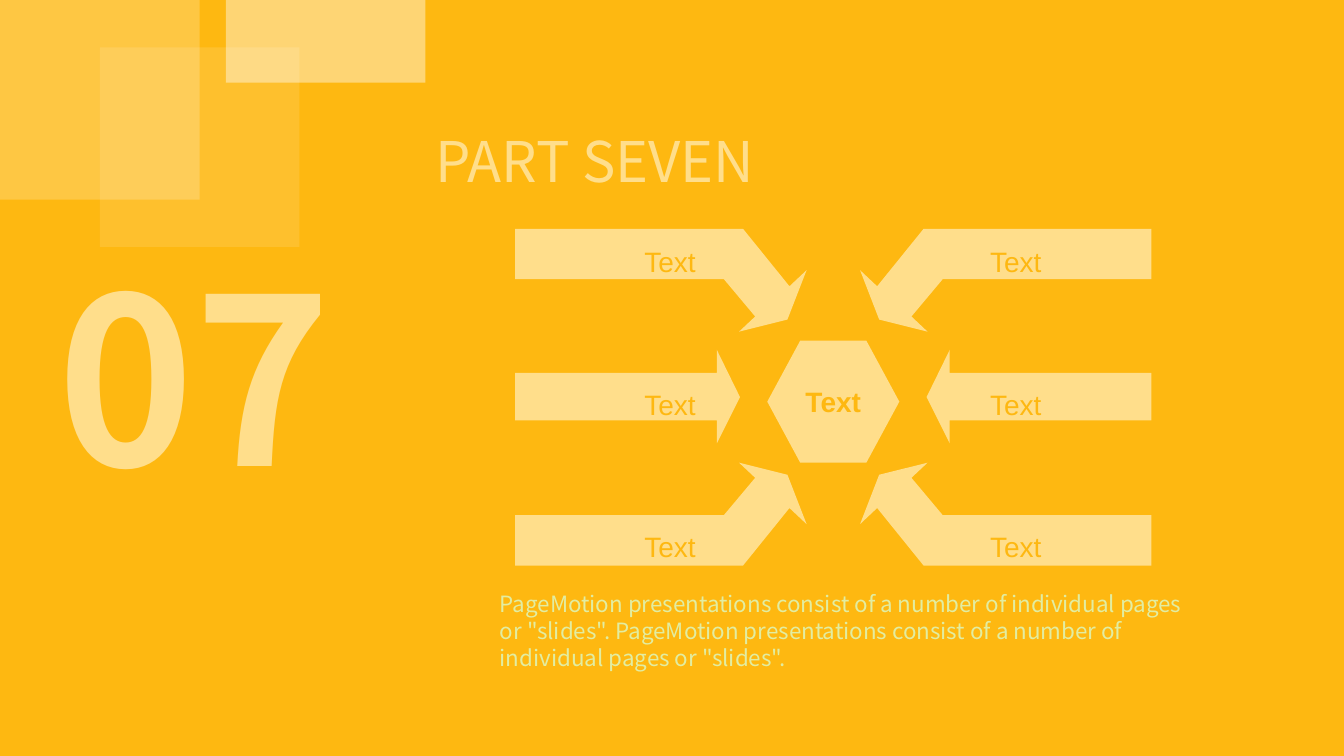
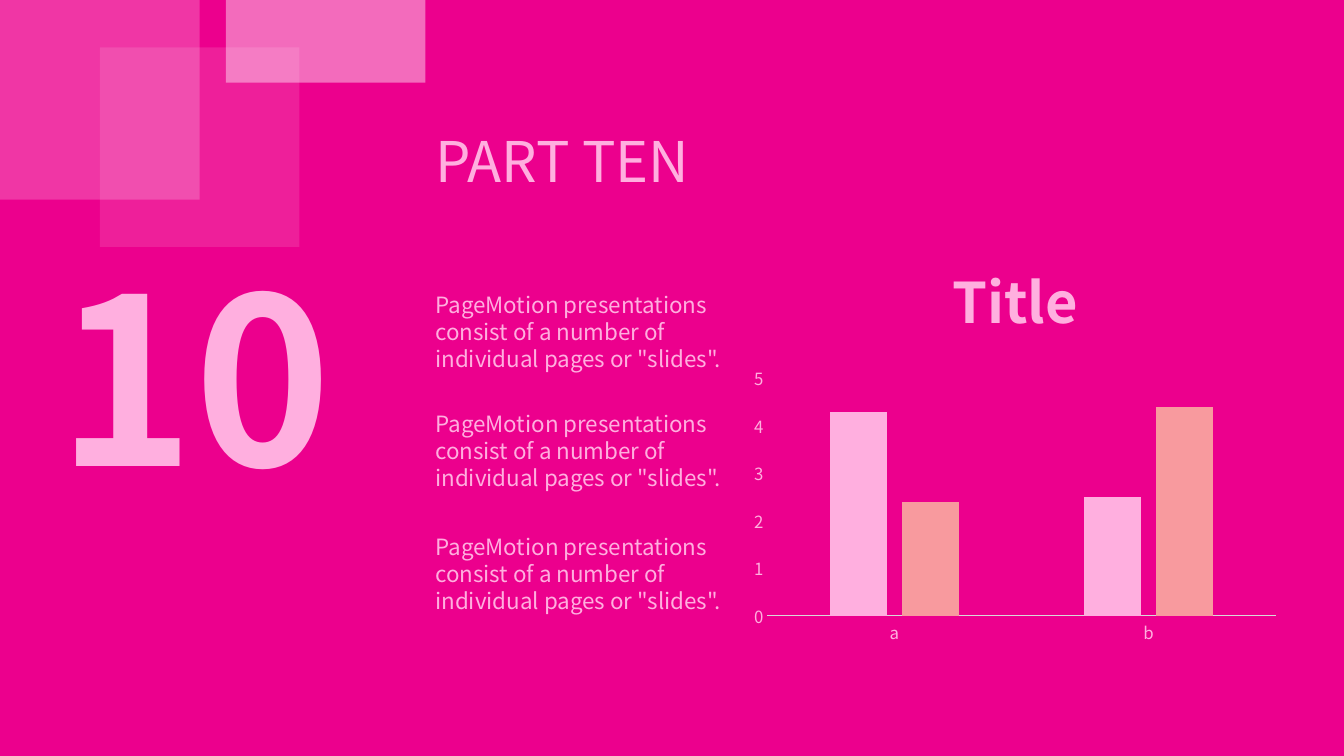
from dataclasses import dataclass
from typing import NamedTuple

from lxml.etree import SubElement
from pptx import Presentation
from pptx.chart.data import CategoryChartData
from pptx.dml.color import RGBColor
from pptx.enum.chart import XL_CHART_TYPE as ChartType, XL_TICK_MARK as Tick
from pptx.enum.shapes import MSO_SHAPE as Shape
from pptx.enum.text import MSO_ANCHOR as Anchor, MSO_AUTO_SIZE as AutoSize, PP_ALIGN as Align
from pptx.oxml import parse_xml
from pptx.oxml.ns import nsdecls, qn
from pptx.slide import Slide
from pptx.util import Inches, Pt


class Palette(NamedTuple):
    bg: str
    ink: str
    body: str


@dataclass(frozen=True)
class Theme:
    yellow: Palette = Palette("FEB811", "FFDE8B", "E2EDA1")
    pink: Palette = Palette("EC008D", "FFAFDF", "FFAFDF")
    veil: str = "FFFFFF"
    second_series: str = "F89A9E"
    axis_line: str = "D9D9D9"
    font: str = "Noto Sans CJK SC"
    label_font: str = "Arial"
    number: int = 166
    title: int = 40
    label: int = 20
    body: int = 16
    axis: int = 12


class Box(NamedTuple):
    x: float
    y: float
    w: float
    h: float


class Veil(NamedTuple):
    box: Box
    opacity: int


class Label(NamedTuple):
    box: Box
    text: str
    shape: Shape = Shape.RECTANGLE
    bold: bool = False
    align: Align = Align.LEFT
    anchor: Anchor = Anchor.TOP


THEME = Theme()
VEILS = (
    Veil(Box(0.99, 0.47, 1.98, 1.98), 12),
    Veil(Box(0, 0, 1.98, 1.98), 21),
    Veil(Box(2.24, 0, 1.98, 0.82), 42),
)
SENTENCE = 'PageMotion presentations consist of a number of individual pages or "slides".'
MIRROR_X = 16.53
MIRROR_Y = 7.88
STRAIGHT_ARROW = ((5.11, 4.17), (5.11, 3.7), (7.11, 3.7), (7.11, 3.47),
                  (7.34, 3.94), (7.11, 4.4), (7.11, 4.17))
BENT_ARROW = ((5.11, 2.27), (7.37, 2.27), (7.83, 2.84), (8, 2.68), (7.81, 3.17),
              (7.33, 3.29), (7.49, 3.14), (7.18, 2.77), (5.11, 2.77))


def rgb(color: str) -> RGBColor:
    return RGBColor.from_string(color)


def inches(box: Box) -> list:
    return [Inches(v) for v in box]


def style_font(font, size: int, color: str, name: str = THEME.font, bold: bool = False) -> None:
    font.size = Pt(size)
    font.name = name
    font.bold = bold
    font.color.rgb = rgb(color)


def paint(sp, color: str) -> None:
    sp.shadow.inherit = False
    sp.fill.solid()
    sp.fill.fore_color.rgb = rgb(color)
    sp.line.fill.background()


def add_veil(s: Slide, veil: Veil) -> None:
    sp = s.shapes.add_shape(Shape.RECTANGLE, *inches(veil.box))
    paint(sp, THEME.veil)
    clr = sp.fill._xPr.find(qn("a:solidFill")).find(qn("a:srgbClr"))
    SubElement(clr, qn("a:alpha")).set("val", str(veil.opacity * 1000))


def add_text(s: Slide, box: Box, text: str, size: int, color: str,
             bold: bool = False, wrap: bool = False) -> None:
    tf = s.shapes.add_textbox(*inches(box)).text_frame
    tf.word_wrap = wrap
    tf.auto_size = AutoSize.SHAPE_TO_FIT_TEXT
    tf.text = text
    style_font(tf.paragraphs[0].runs[0].font, size, color, bold=bold)


def add_label(s: Slide, label: Label, palette: Palette) -> None:
    sp = s.shapes.add_shape(label.shape, *inches(label.box))
    if label.shape == Shape.HEXAGON:
        sp.adjustments[0] = 0.27
    paint(sp, palette.ink)
    tf = sp.text_frame
    tf.margin_left = tf.margin_right = tf.margin_top = tf.margin_bottom = Inches(0.05)
    tf.word_wrap = False
    tf.vertical_anchor = label.anchor
    tf.text = label.text
    p = tf.paragraphs[0]
    p.alignment = label.align
    style_font(p.runs[0].font, THEME.label, palette.bg, THEME.label_font, label.bold)


def add_arrow(s: Slide, points: tuple, color: str,
              flip_x: bool = False, flip_y: bool = False) -> None:
    start, *rest = [(Inches(MIRROR_X - x if flip_x else x),
                     Inches(MIRROR_Y - y if flip_y else y)) for x, y in points]
    builder = s.shapes.build_freeform(*start)
    builder.add_line_segments(rest, close=True)
    paint(builder.convert_to_shape(), color)


def add_section(prs, palette: Palette, number: str, title: str, title_width: float) -> Slide:
    s = prs.slides.add_slide(prs.slide_layouts[6])
    s.background.fill.solid()
    s.background.fill.fore_color.rgb = rgb(palette.bg)
    for veil in VEILS:
        add_veil(s, veil)
    add_text(s, Box(0.47, 2.27, 3.07, 2.89), number, THEME.number, palette.ink, bold=True)
    add_text(s, Box(4.22, 1.21, title_width, 0.77), title, THEME.title, palette.ink)
    return s


def set_layout(parent, x: float, y: float, w: float = 0, h: float = 0) -> None:
    for old in parent.findall(qn("c:layout")):
        parent.remove(old)
    target = '<c:layoutTarget val="inner"/>' if w else ""
    size = f'<c:w val="{w}"/><c:h val="{h}"/>' if w else ""
    layout = parse_xml(
        f'<c:layout {nsdecls("c")}><c:manualLayout>{target}<c:xMode val="edge"/>'
        f'<c:yMode val="edge"/><c:x val="{x}"/><c:y val="{y}"/>{size}'
        f'</c:manualLayout></c:layout>')
    text = parent.find(qn("c:tx"))
    if text is None:
        parent.insert(0, layout)
    else:
        text.addnext(layout)


def add_column_chart(s: Slide, box: Box, palette: Palette) -> None:
    data = CategoryChartData()
    data.categories = ["a", "b"]
    data.add_series("Series 1", (4.3, 2.5))
    data.add_series("Series 2", (2.4, 4.4))
    chart = s.shapes.add_chart(ChartType.COLUMN_CLUSTERED, *inches(box), data).chart
    style_font(chart.font, THEME.axis, palette.ink)
    chart.has_legend = False

    chart.has_title = True
    tf = chart.chart_title.text_frame
    tf.text = "Title"
    style_font(tf.paragraphs[0].runs[0].font, THEME.title, palette.ink, bold=True)
    chart.chart_title.include_in_layout = False
    set_layout(chart.chart_title._element, 0.37, 0.03)
    set_layout(chart._chartSpace.chart.plotArea, 0.05, 0.35, 0.93, 0.56)

    plot = chart.plots[0]
    plot.vary_by_categories = False
    plot.gap_width = 219
    plot.overlap = -27
    for series, color in zip(plot.series, (palette.ink, THEME.second_series)):
        series.format.fill.solid()
        series.format.fill.fore_color.rgb = rgb(color)

    category, value = chart.category_axis, chart.value_axis
    for axis in (category, value):
        axis.major_tick_mark = axis.minor_tick_mark = Tick.NONE
        style_font(axis.tick_labels.font, THEME.axis, palette.ink)
    value.minimum_scale, value.maximum_scale, value.major_unit = 0, 5, 1
    value.format.line.fill.background()
    for line, color in ((category.format.line, THEME.axis_line),
                        (value.major_gridlines.format.line, palette.bg)):
        line.color.rgb = rgb(color)
        line.width = Pt(0.75)


def build_arrow_slide(prs) -> None:
    palette = THEME.yellow
    s = add_section(prs, palette, "07", "PART SEVEN", 3.51)
    add_text(s, Box(4.86, 5.81, 7.13, 0.91), f"{SENTENCE} {SENTENCE}",
             THEME.body, palette.body, wrap=True)
    add_label(s, Label(Box(7.61, 3.38, 1.31, 1.21), "Text", Shape.HEXAGON, True,
                       Align.CENTER, Anchor.MIDDLE), palette)
    for flip_x in (False, True):
        add_arrow(s, STRAIGHT_ARROW, palette.ink, flip_x)
        for flip_y in (False, True):
            add_arrow(s, BENT_ARROW, palette.ink, flip_x, flip_y)
    for x in (6.34, 9.77):
        for row in range(3):
            add_label(s, Label(Box(x, 2.38 + 1.41 * row, 0.43, 0.29), "Text"), palette)


def build_chart_slide(prs) -> None:
    palette = THEME.pink
    s = add_section(prs, palette, "10", "PART TEN", 2.82)
    add_column_chart(s, Box(7.34, 2.28, 5.42, 4.21), palette)
    for y in (2.84, 4.02, 5.24):
        add_text(s, Box(4.22, y, 3.41, 0.91), SENTENCE, THEME.body, palette.body, wrap=True)


def main() -> None:
    prs = Presentation()
    prs.slide_width, prs.slide_height = Inches(13.33), Inches(7.5)
    build_arrow_slide(prs)
    build_chart_slide(prs)
    prs.save("out.pptx")


if __name__ == "__main__":
    main()
